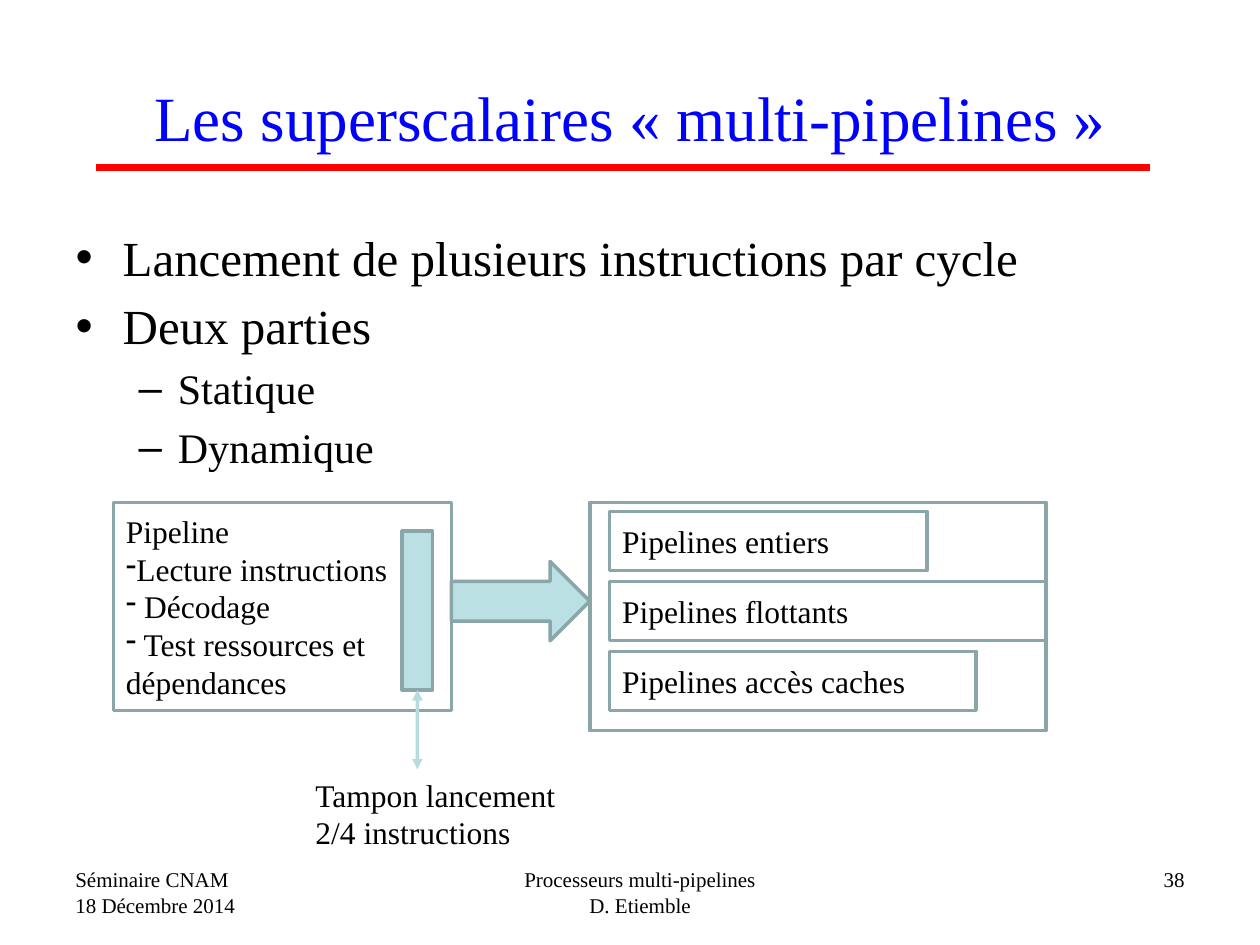
from collections import namedtuple
from dataclasses import dataclass

from lxml import etree
from pptx import Presentation
from pptx.dml.color import RGBColor
from pptx.enum.shapes import MSO_CONNECTOR, MSO_SHAPE
from pptx.enum.text import MSO_ANCHOR, MSO_AUTO_SIZE, PP_ALIGN
from pptx.oxml.ns import qn
from pptx.util import Cm, Pt

RECT, RIGHT_ARROW = MSO_SHAPE.RECTANGLE, MSO_SHAPE.RIGHT_ARROW
STRAIGHT = MSO_CONNECTOR.STRAIGHT
LEFT, CENTER, RIGHT = PP_ALIGN.LEFT, PP_ALIGN.CENTER, PP_ALIGN.RIGHT
TOP, MIDDLE = MSO_ANCHOR.TOP, MSO_ANCHOR.MIDDLE
NO_FIT = MSO_AUTO_SIZE.NONE
BOTTOM_SIDE = 2


@dataclass(frozen=True)
class Theme:
    font: str = "Times New Roman"
    title: str = "0000FF"
    rule: str = "FF0000"
    text: str = "000000"
    paper: str = "FFFFFF"
    accent: str = "BBE0E3"
    outline: str = "8AA6A8"
    arrow: str = "B6DCDF"
    title_size: int = 36
    level_sizes: tuple = (28, 24)
    label_size: int = 18
    footer_size: int = 12


THEME = Theme()

# All lengths in a box are centimetres
Box = namedtuple("Box", "left top width height")


def inside(box, left, top, width, height):
    return Box(box.left + left, box.top + top, width, height)


def place(shape, box):
    shape.left, shape.top, shape.width, shape.height = map(Cm, box)


def style(para, size, color=THEME.text, align=LEFT):
    para.alignment = align
    para.font.name = THEME.font
    para.font.size = Pt(size)
    para.font.color.rgb = RGBColor.from_string(color)


def set_bullet(para, mark, margin, indent):
    props = para._p.get_or_add_pPr()
    props.set("marL", str(Cm(margin)))
    props.set("indent", str(Cm(indent)))
    etree.SubElement(props, qn("a:buChar"), char=mark)


def write(shape, lines, size, align=LEFT, anchor=TOP):
    frame = shape.text_frame
    frame.word_wrap = True
    frame.vertical_anchor = anchor
    frame.text = "\n".join(lines)
    for para in frame.paragraphs:
        style(para, size, align=align)
    return frame.paragraphs


def add_block(page, box, fill=THEME.paper, kind=RECT):
    block = page.shapes.add_shape(kind, *map(Cm, box))
    block.shadow.inherit = False
    block.fill.solid()
    block.fill.fore_color.rgb = RGBColor.from_string(fill)
    block.line.color.rgb = RGBColor.from_string(THEME.outline)
    block.line.width = Pt(2)
    return block


def add_text(page, box, lines, size, align=LEFT):
    return write(page.shapes.add_textbox(*map(Cm, box)), lines, size, align)


def add_line(page, start, end, color, width):
    line = page.shapes.add_connector(STRAIGHT, *map(Cm, start + end))
    line.line.color.rgb = RGBColor.from_string(color)
    line.line.width = Pt(width)
    etree.SubElement(line._element.spPr, qn("a:effectLst"))
    return line


def add_title(page, box, text):
    title = page.shapes.title
    place(title, box)
    title.text_frame.text = text
    title.text_frame.auto_size = NO_FIT
    title.text_frame.vertical_anchor = MIDDLE
    style(title.text_frame.paragraphs[0], THEME.title_size, THEME.title, CENTER)
    # Rule below the title
    y = box.top + 2.62
    add_line(page, (box.left + 0.66, y), (box.left + 21.92, y), THEME.rule, 3.75)


def add_list(page, box, items):
    body = page.placeholders[1]
    place(body, box)
    frame = body.text_frame
    frame.text = "\n".join(text for _, text in items)
    frame.auto_size = NO_FIT
    bullets = (("•", 0.95, -0.95), ("–", 2.06, -0.79))
    for para, (level, _) in zip(frame.paragraphs, items):
        para.level = level
        style(para, THEME.level_sizes[level])
        set_bullet(para, *bullets[level])


def add_static_part(page, box):
    block = add_block(page, box)
    steps = ["Pipeline", "Lecture instructions", " Décodage",
             " Test ressources et dépendances"]
    for para in write(block, steps, THEME.label_size, anchor=MIDDLE)[1:]:
        set_bullet(para, "-", 0, 0)


def add_dynamic_part(page, box):
    add_block(page, box)
    lanes = (("Pipelines entiers", 6.4), ("Pipelines flottants", 8.8),
             ("Pipelines accès caches", 7.39))
    for row, (label, width) in enumerate(lanes):
        lane = add_block(page, inside(box, 0.4, 0.18 + 1.41 * row, width, 1.19))
        write(lane, [label], THEME.label_size, anchor=MIDDLE)


def add_issue_buffer(page, box):
    # Buffer, its double arrow and the caption below
    block = add_block(page, box, THEME.accent)
    x, y = box.left + box.width / 2, box.top + box.height
    arrow = add_line(page, (x, y), (x, y + 1.6), THEME.arrow, 2)
    arrow.begin_connect(block, BOTTOM_SIDE)
    outline = arrow.line._get_or_add_ln()
    for end in ("a:headEnd", "a:tailEnd"):
        etree.SubElement(outline, qn(end), type="triangle")
    add_text(page, inside(box, -2, box.height + 1.6, 5.51, 1.8),
             ["Tampon lancement", "2/4 instructions"], THEME.label_size)


def add_diagram(page, box):
    static = inside(box, 0, 0, 6.81, 4.19)
    dynamic = inside(box, 9.6, 0, 9.2, 4.6)
    add_static_part(page, static)
    add_dynamic_part(page, dynamic)
    add_issue_buffer(page, inside(static, 5.82, 0.58, 0.61, 3.2))
    gap = dynamic.left - static.left - static.width
    add_block(page, inside(static, static.width, 1.19, gap, 1.6),
              THEME.accent, RIGHT_ARROW)


def add_footer(page, box):
    parts = (
        (0, 5.92, LEFT, ["Séminaire CNAM", "18 Décembre 2014"]),
        (7.42, 8.43, CENTER, ["Processeurs multi-pipelines", "D. Etiemble"]),
        (16.94, 5.92, RIGHT, ["38"]),
    )
    for left, width, align, lines in parts:
        add_text(page, inside(box, left, 0, width, box.height),
                 lines, THEME.footer_size, align)


def main():
    deck = Presentation()
    deck.slide_width, deck.slide_height = Cm(25.4), Cm(19.05)
    page = deck.slides.add_slide(deck.slide_layouts[1])
    add_title(page, Box(1.27, 0.76, 22.86, 3.18),
              "Les superscalaires «\u00a0multi-pipelines\u00a0»".replace("\u00a0", " "))
    add_list(page, Box(1.27, 4.45, 22.86, 12.57), [
        (0, "Lancement de plusieurs instructions par cycle"),
        (0, "Deux parties"),
        (1, "Statique"),
        (1, "Dynamique"),
    ])
    add_diagram(page, Box(2.29, 10.13, 18.8, 8))
    add_footer(page, Box(1.27, 17.35, 22.86, 1.32))
    deck.save("out.pptx")


if __name__ == "__main__":
    main()
